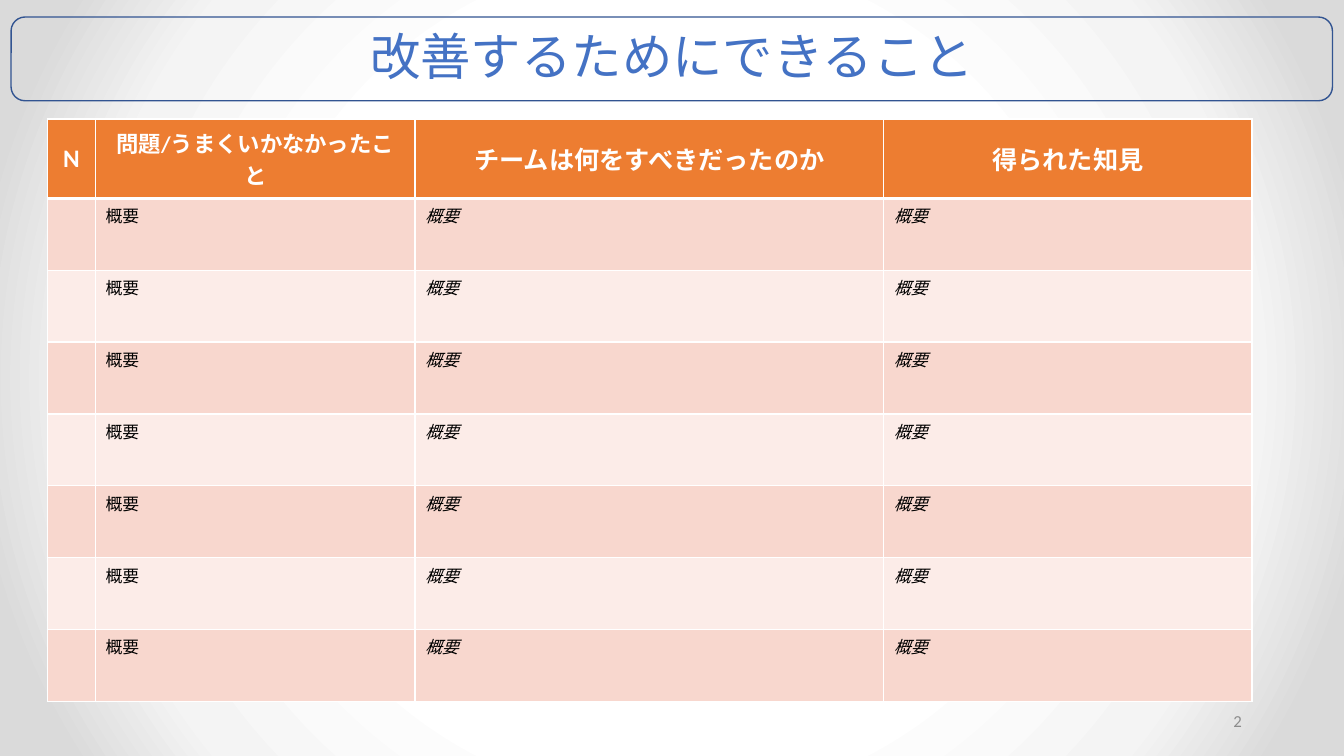
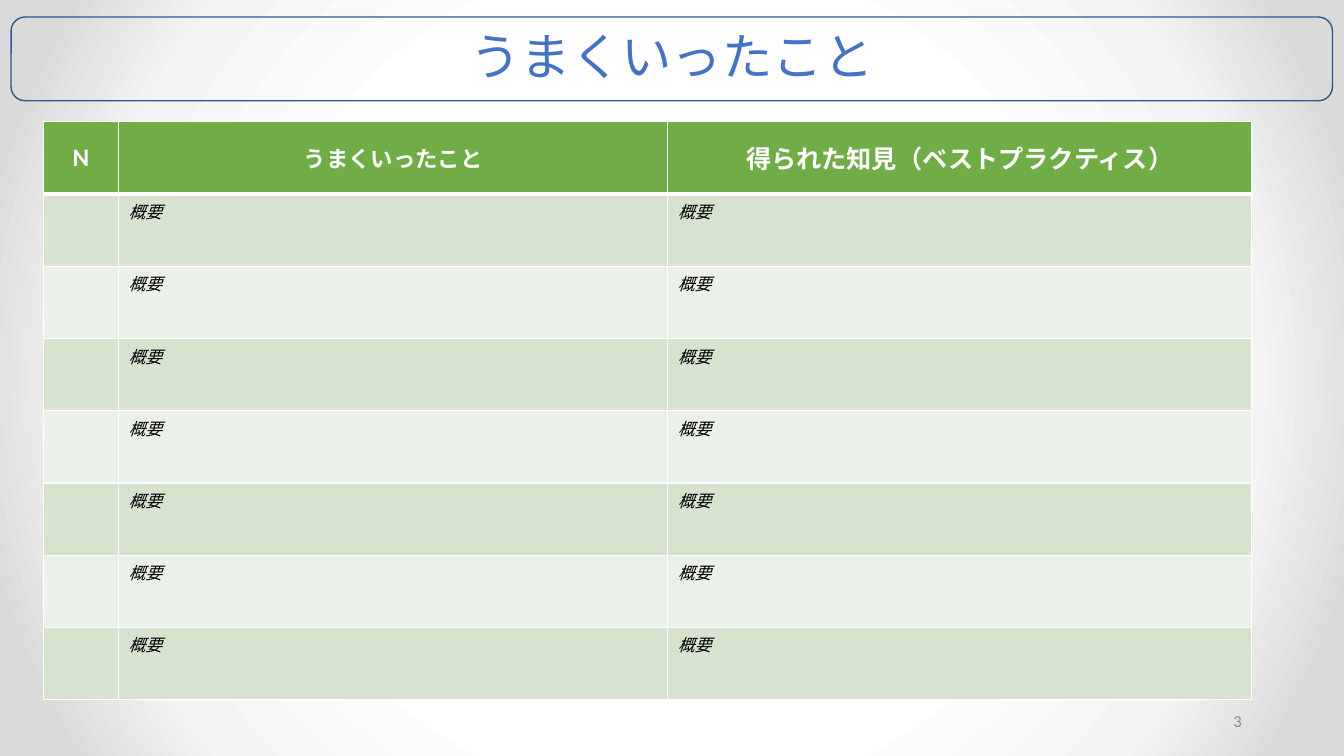
from pptx import Presentation
from pptx.dml.color import RGBColor
from pptx.enum.lang import MSO_LANGUAGE_ID as Language
from pptx.enum.shapes import MSO_SHAPE as Shape
from pptx.enum.text import MSO_ANCHOR as Anchor, PP_ALIGN as Align
from pptx.oxml import parse_xml
from pptx.oxml.ns import nsdecls
from pptx.util import Cm, Pt


class Theme:
    font = "Calibri"
    title = "4472C4"
    band_line = "325491"
    number = "8C8C8C"
    white = "FFFFFF"
    body = "000000"
    background = ((50, "FFFFFF"), (76, "F4F4F4"), (92, "DADADA"))
    orange = ("ED7D31", "F8D7CE", "FCECE8")
    green = ("70AD47", "D5E3CF", "EBF1E9")
    title_size = 36
    header_size = 18
    small_header_size = 16
    body_size = 12
    rule = 1
    header_rule = 3


def write(frame, text, size, color, align=Align.LEFT, line_spacing=None, **formats):
    paragraph = frame.paragraphs[0]
    paragraph.alignment = align
    paragraph.line_spacing = line_spacing
    run = paragraph.add_run()
    run.text = text
    run.font.color.rgb = RGBColor.from_string(color)
    values = {"name": Theme.font, "size": Pt(size), "language_id": Language.JAPANESE, **formats}
    for name, value in values.items():
        setattr(run.font, name, value)


def add_text(slide, place, text, size, color, **formats):
    frame = slide.shapes.add_textbox(*map(Cm, place)).text_frame
    frame.word_wrap = True
    frame.vertical_anchor = Anchor.MIDDLE
    write(frame, text, size, color, **formats)


slides = [
    {
        "number": "2",
        "title": "改善するためにできること",
        "headers": ["N", "問題/うまくいかなかったこと", "チームは何をすべきだったのか", "得られた知見"],
        "colors": Theme.orange,
        "corner": (1.19, 3),
        "columns": [1.22, 8.05, 11.81, 9.28],
        "rows": [2] + [1.81] * 7,
        "upright_column": 1,
    },
    {
        "number": "3",
        "title": "うまくいったこと",
        "headers": ["N", "うまくいったこと", "得られた知見（ベストプラクティス）"],
        "colors": Theme.green,
        "corner": (1.09, 3.07),
        "columns": [1.9, 13.84, 14.71],
        "rows": [1.82] * 8,
        "upright_column": None,
    },
]

presentation = Presentation()
presentation.slide_width = Cm(33.87)
presentation.slide_height = Cm(19.05)
blank = presentation.slide_layouts[6]

background = presentation.slide_master.background
background.fill.solid()
stops = "".join(
    f'<a:gs pos="{position * 1000}"><a:srgbClr val="{color}"/></a:gs>'
    for position, color in Theme.background
)
gradient = parse_xml(
    f'<a:gradFill {nsdecls("a")} rotWithShape="1"><a:gsLst>{stops}</a:gsLst>'
    '<a:path path="circle"><a:fillToRect l="50000" t="50000" r="50000" b="50000"/></a:path>'
    "</a:gradFill>"
)
solid = presentation.slide_master.element.xpath("p:cSld/p:bg/p:bgPr/a:solidFill")[0]
solid.getparent().replace(solid, gradient)

for content in slides:
    slide = presentation.slides.add_slide(blank)

    band = slide.shapes.add_shape(Shape.ROUNDED_RECTANGLE, *map(Cm, (0.28, 0.43, 33.3, 2.11)))
    band.shadow.inherit = False
    band.fill.background()
    band.line.color.rgb = RGBColor.from_string(Theme.band_line)
    band.line.width = Pt(Theme.rule)

    add_text(slide, (4.45, 0.53, 24.97, 1.91), content["title"], Theme.title_size, Theme.title,
             align=Align.CENTER, line_spacing=0.9)
    add_text(slide, (23.93, 17.65, 7.62, 1.02), content["number"], Theme.body_size, Theme.number,
             align=Align.RIGHT)

    columns, rows = content["columns"], content["rows"]
    size = (sum(columns), sum(rows))
    table = slide.shapes.add_table(
        len(rows), len(columns), *map(Cm, content["corner"] + size)
    ).table
    for column, width in zip(table.columns, columns):
        column.width = Cm(width)
    for row, height in zip(table.rows, rows):
        row.height = Cm(height)

    header_color, *stripes = content["colors"]
    for row_index, row in enumerate(table.rows):
        is_header = row_index == 0
        rules = {
            "L": Theme.rule,
            "R": Theme.rule,
            "T": Theme.header_rule if row_index == 1 else Theme.rule,
            "B": Theme.header_rule if is_header else Theme.rule,
        }
        fill = header_color if is_header else stripes[(row_index - 1) % 2]
        for column_index, cell in enumerate(row.cells):
            properties = cell._tc.get_or_add_tcPr()
            for side, width in rules.items():
                properties.append(parse_xml(
                    f'<a:ln{side} {nsdecls("a")} w="{Pt(width)}"><a:solidFill>'
                    f'<a:srgbClr val="{Theme.white}"/></a:solidFill></a:ln{side}>'
                ))
            cell.fill.solid()
            cell.fill.fore_color.rgb = RGBColor.from_string(fill)
            if is_header:
                cell.vertical_anchor = Anchor.MIDDLE
                header_size = Theme.small_header_size if column_index == 1 else Theme.header_size
                write(cell.text_frame, content["headers"][column_index], header_size, Theme.white,
                      align=Align.CENTER, bold=True)
            elif column_index > 0:
                write(cell.text_frame, "概要", Theme.body_size, Theme.body, bold=False,
                      italic=column_index != content["upright_column"])

presentation.save("out.pptx")
